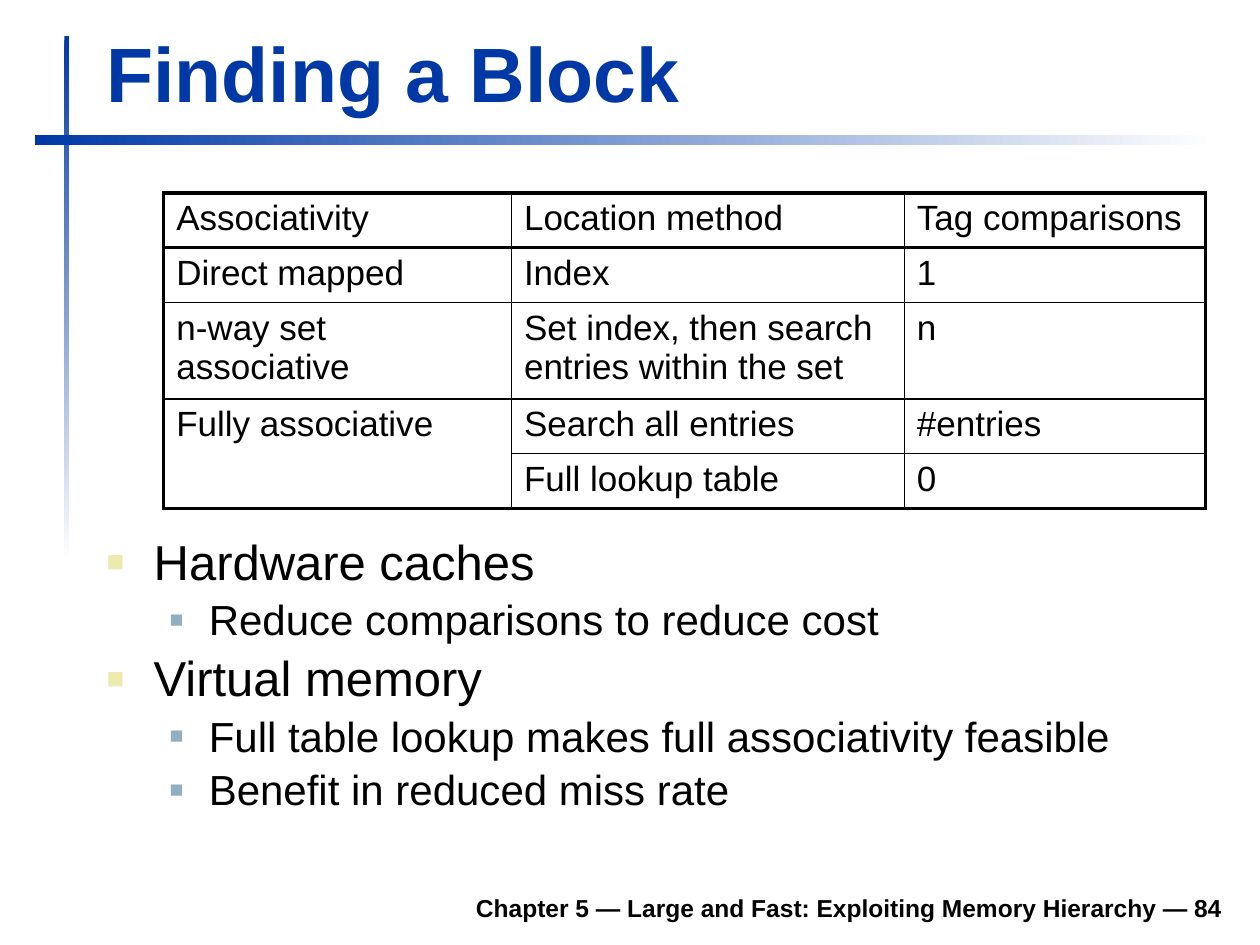
from lxml import etree
from pptx import Presentation
from pptx.dml.color import RGBColor
from pptx.enum import shapes, text
from pptx.oxml.ns import qn
from pptx.util import Cm, Pt

BLUE, BLACK, WHITE = "0039A6", "000000", "FFFFFF"
COLUMN_WIDTHS = (7.01, 7.92, 6.07)
ROW_HEIGHTS = (1.05, 1.05, 1.82, 1.05, 1.05)
METHODS = (
    ("Associativity", "Location method", "Tag comparisons"),
    ("Direct mapped", "Index", "1"),
    ("n-way set associative", "Set index, then search entries within the set", "n"),
    ("Fully associative", "Search all entries", "#entries"),
    ("", "Full lookup table", "0"),
)
POINTS = (
    (0, "Hardware caches"),
    (1, "Reduce comparisons to reduce cost"),
    (0, "Virtual memory"),
    (1, "Full table lookup makes full associativity feasible"),
    (1, "Benefit in reduced miss rate"),
)
# Per level: text size, left indent and hanging indent in cm, bullet colour, bullet size in %
LEVELS = (
    (28, 0.95, 0.95, "ECEAAC", 60),
    (24, 2.06, 0.79, "91AFBF", 55),
)


def rgb(colour):
    return RGBColor.from_string(colour)


def add_xml(parent, tag, **attributes):
    return etree.SubElement(parent, qn(tag), attributes)


def style_text(paragraph, size, colour=BLACK, bold=False):
    for run in paragraph.runs:
        run.font.name = "Arial"
        run.font.size = Pt(size)
        run.font.bold = bold
        run.font.color.rgb = rgb(colour)


def add_fading_bar(slide, left, top, width, height, angle):
    bar = slide.shapes.add_shape(shapes.MSO_SHAPE.RECTANGLE,
                                 Cm(left), Cm(top), Cm(width), Cm(height))
    bar.shadow.inherit = False
    bar.line.fill.background()
    bar.fill.gradient()
    bar.fill.gradient_angle = angle
    for stop, colour in zip(bar.fill.gradient_stops, (BLUE, WHITE)):
        stop.color.rgb = rgb(colour)


def add_frame(slide, left, top, width, height, anchor):
    frame = slide.shapes.add_textbox(Cm(left), Cm(top), Cm(width), Cm(height)).text_frame
    frame.word_wrap = True
    frame.vertical_anchor = anchor
    return frame


def add_line(slide, box, wording, size, colour, align):
    frame = add_frame(slide, *box, text.MSO_ANCHOR.BOTTOM)
    frame.text = wording
    frame.paragraphs[0].alignment = align
    style_text(frame.paragraphs[0], size, colour, bold=True)


def set_borders(cell, widths):
    """Draw left, right, top and bottom borders with the given widths in points."""
    properties = cell._tc.get_or_add_tcPr()
    for position, (side, width) in enumerate(zip("LRTB", widths)):
        line = etree.Element(qn(f"a:ln{side}"), w=str(Pt(width)))
        add_xml(add_xml(line, "a:solidFill"), "a:srgbClr", val=BLACK)
        properties.insert(position, line)


def add_methods_table(slide, left, top):
    rows, columns = len(ROW_HEIGHTS), len(COLUMN_WIDTHS)
    table = slide.shapes.add_table(rows, columns, Cm(left), Cm(top),
                                   Cm(sum(COLUMN_WIDTHS)), Cm(sum(ROW_HEIGHTS))).table
    table.first_row = table.horz_banding = False
    for column, width in zip(table.columns, COLUMN_WIDTHS):
        column.width = Cm(width)
    for row, height in zip(table.rows, ROW_HEIGHTS):
        row.height = Cm(height)

    across = [2.25] + [1] * (columns - 1) + [2.25]
    down = [2.25, 1.5] + [1] * (rows - 2) + [2.25]
    for r, wordings in enumerate(METHODS):
        for c, wording in enumerate(wordings):
            cell = table.cell(r, c)
            cell.text = wording
            cell.fill.background()
            style_text(cell.text_frame.paragraphs[0], 20)
            set_borders(cell, (across[c], across[c + 1], down[r], down[r + 1]))
    fully_associative = table.cell(3, 0)
    fully_associative.merge(table.cell(4, 0))
    set_borders_bottom = fully_associative._tc.tcPr.find(qn("a:lnB"))
    set_borders_bottom.set("w", str(Pt(down[-1])))


def format_bullet(paragraph, level):
    size, indent, hanging, colour, bullet_size = LEVELS[level]
    paragraph.level = level
    paragraph.line_spacing = 0.9
    style_text(paragraph, size)
    properties = paragraph._p.get_or_add_pPr()
    properties.set("marL", str(Cm(indent)))
    properties.set("indent", str(-Cm(hanging)))
    add_xml(add_xml(properties, "a:spcBef"), "a:spcPct", val="20000")
    add_xml(add_xml(properties, "a:buClr"), "a:srgbClr", val=colour)
    add_xml(properties, "a:buSzPct", val=str(bullet_size * 1000))
    add_xml(properties, "a:buFont", typeface="Arial")
    add_xml(properties, "a:buChar", char="■")


def add_points(slide, left, top, width, height):
    frame = add_frame(slide, left, top, width, height, text.MSO_ANCHOR.TOP)
    frame.text = "\n".join(wording for _, wording in POINTS)
    for paragraph, (level, _) in zip(frame.paragraphs, POINTS):
        format_bullet(paragraph, level)


def main():
    deck = Presentation()
    deck.slide_width, deck.slide_height = Cm(25.4), Cm(19.05)
    slide = deck.slides.add_slide(deck.slide_layouts[6])

    add_fading_bar(slide, 1.3, 0.72, 0.1, 10.6, angle=270)
    add_fading_bar(slide, 0.7, 2.72, 23.8, 0.2, angle=0)
    add_line(slide, (4.7, 17.73, 20.2, 0.99),
             "Chapter 5 — Large and Fast: Exploiting Memory Hierarchy — 84",
             14, BLACK, text.PP_ALIGN.RIGHT)
    add_line(slide, (1.9, 0.41, 22.94, 2.1), "Finding a Block",
             44, BLUE, text.PP_ALIGN.LEFT)
    add_points(slide, 1.9, 10.72, 22.99, 6.6)
    add_methods_table(slide, 3.3, 3.89)
    deck.save("out.pptx")


if __name__ == "__main__":
    main()
